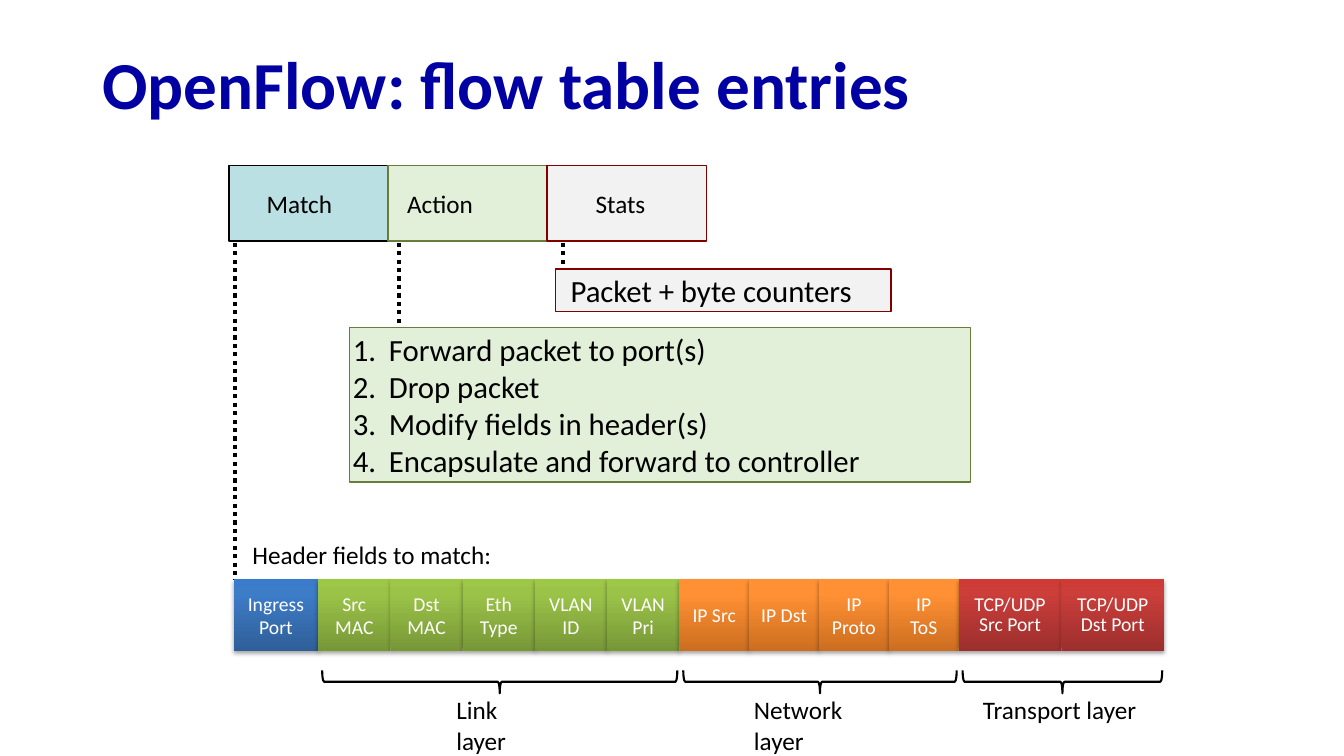
import copy

import lxml.etree
import pptx
import pptx.dml.color
import pptx.enum.dml
import pptx.enum.shapes
import pptx.enum.text
import pptx.oxml.ns
import pptx.util

Cm = pptx.util.Cm
Pt = pptx.util.Pt
qn = pptx.oxml.ns.qn
Kind = pptx.enum.shapes.MSO_SHAPE
Align = pptx.enum.text.PP_ALIGN
Fit = pptx.enum.text.MSO_AUTO_SIZE
Anchor = pptx.enum.text.MSO_ANCHOR

COLORS = {
    "title": "0000A3", "black": "000000", "white": "FFFFFF",
    "match": "BBE0E3", "action": "E2F0D9", "stats": "F2F2F2",
    "olive": "697D3A", "maroon": "800000",
}
# Gradient stops at 0, 80 and 100 percent
SHADES = {
    "blue": ("2F5F99", "3D7CC7", "3A7CCB"),
    "green": ("779737", "9BC348", "9DC746"),
    "orange": ("CC6E20", "FF9034", "FF9136"),
    "red": ("9C2F2D", "CB3E3A", "CE3B37"),
}
# Shade, cell width, cell texts, layer name, label offset, label width, label align
LAYERS = [
    ("blue", 2.13, ["Ingress Port"], None, 0, 0, None),
    ("green", 1.82, ["Src MAC", "Dst MAC", "Eth Type", "VLAN\nID", "VLAN\nPri"],
     "Link layer", 3.23, 2.67, Align.LEFT),
    ("orange", 1.76, ["IP Src", "IP Dst", "IP Proto", "IP\nToS"],
     "Network layer", 1.63, 3.76, Align.LEFT),
    ("red", 2.59, ["TCP/UDP Src Port", "TCP/UDP Dst Port"],
     "Transport layer", -0.72, 6.53, Align.CENTER),
]
# Text, fill, line, label offset, label width
PARTS = [
    ("Match", "match", "black", 0.95, 1.68),
    ("Action", "action", "olive", 0.48, 1.68),
    ("Stats", "stats", "maroon", 1.22, 1.27),
]
ACTIONS = ["Forward packet to port(s)", "Drop packet",
           "Modify fields in header(s)", "Encapsulate and forward to controller"]


def rgb(code):
    return pptx.dml.color.RGBColor.from_string(code)


def style(par, size, color="black", align=Align.LEFT, bold=False):
    par.alignment = align
    font = par.font
    font.name, font.size, font.bold = "Calibri", Pt(size), bold
    font.color.rgb = rgb(COLORS[color])


def inset(frame, gap=0):
    frame.margin_left = frame.margin_right = Cm(gap)
    frame.margin_top = frame.margin_bottom = Cm(gap)


def paint(shape, fill, line):
    shape.fill.solid()
    shape.fill.fore_color.rgb = rgb(COLORS[fill])
    shape.line.color.rgb = rgb(COLORS[line])
    shape.line.width = Pt(1)


def rect(slide, left, top, width, height):
    shape = slide.shapes.add_shape(
        Kind.RECTANGLE, Cm(left), Cm(top), Cm(width), Cm(height))
    shape.shadow.inherit = False
    return shape


def label(slide, text, left, top, width, height, size=18, align=Align.LEFT, tight=False):
    box = slide.shapes.add_textbox(Cm(left), Cm(top), Cm(width), Cm(height))
    frame = box.text_frame
    frame.text = text
    frame.word_wrap = not tight
    frame.auto_size = Fit.SHAPE_TO_FIT_TEXT
    if tight:
        inset(frame)
        frame.vertical_anchor = Anchor.MIDDLE
    style(frame.paragraphs[0], size, align=align)


def dots(slide, x, top, bottom):
    line = slide.shapes.add_connector(
        pptx.enum.shapes.MSO_CONNECTOR.STRAIGHT, Cm(x), Cm(top), Cm(x), Cm(bottom))
    line.line.color.rgb = rgb(COLORS["black"])
    line.line.width = Pt(3)
    line.line.dash_style = pptx.enum.dml.MSO_LINE.ROUND_DOT
    lxml.etree.SubElement(line._element.spPr, qn("a:effectLst"))


def place(shape, left, top, width, height):
    shape.left, shape.top = Cm(left), Cm(top)
    shape.width, shape.height = Cm(width), Cm(height)
    frame = shape.text_frame
    frame.auto_size = Fit.NONE
    frame.vertical_anchor = Anchor.MIDDLE
    return frame


def head(slide, *box):
    frame = place(slide.shapes.title, *box)
    frame.text = "OpenFlow: flow table entries"
    par = frame.paragraphs[0]
    par.line_spacing = 0.9
    style(par, 48, "title", bold=True)


def entry(slide, left, top, width, height):
    step = width / len(PARTS)
    for i, (text, fill, line, shift, span) in enumerate(PARTS):
        x = left + i * step
        paint(rect(slide, x, top, step, height), fill, line)
        label(slide, text, x + shift, top + height / 2 - 0.38, span, 0.76, tight=True)


def counts(slide, left, top, width, height):
    paint(rect(slide, left, top, width, height), "stats", "maroon")
    label(slide, "Packet + byte counters", left + 0.38, top + 0.06,
          7.16, 0.94, size=22, tight=True)
    dots(slide, left + 0.19, top - 0.66, top - 0.03)


def steps(slide, left, top, width, height):
    shape = slide.placeholders[1]
    frame = place(shape, left, top, width, height)
    paint(shape, "action", "olive")
    inset(frame)
    frame.text = "\n".join(ACTIONS)
    for par in frame.paragraphs:
        par.space_before = Pt(0)
        props = par._p.get_or_add_pPr()
        props.set("marL", str(Cm(0.99)))
        props.set("indent", str(Cm(-0.91)))
        lxml.etree.SubElement(props, qn("a:buAutoNum"), type="arabicPeriod")
        style(par, 22)
    dots(slide, left + 1.24, top - 2.14, top - 0.03)


def shade(shape, codes):
    fill = shape.fill
    fill.gradient()
    fill.gradient_angle = 90
    last = fill._fill._gradFill.gsLst
    last.append(copy.deepcopy(last[-1]))
    for stop, spot, code in zip(fill.gradient_stops, (0, 0.8, 1), codes):
        stop.position = spot
        stop.color.rgb = rgb(code)
    shape.line.fill.background()
    # Soft shadow straight below
    glow = lxml.etree.SubElement(
        shape._element.spPr.find(qn("a:effectLst")), qn("a:outerShdw"),
        blurRad=str(Pt(3.1)), dist=str(Pt(1.8)), dir="5400000", rotWithShape="0")
    tint = lxml.etree.SubElement(glow, qn("a:srgbClr"), val=COLORS["black"])
    lxml.etree.SubElement(tint, qn("a:alpha"), val="35000")


def cell(slide, text, codes, pitch, *box):
    shape = rect(slide, *box)
    shade(shape, codes)
    frame = shape.text_frame
    frame.word_wrap = True
    frame.vertical_anchor = Anchor.MIDDLE
    frame.text = text
    for par in frame.paragraphs:
        par.line_spacing = pitch
        style(par, 14, "white", Align.CENTER)


def brace(slide, left, mid, width):
    thick = 0.58
    shape = slide.shapes.add_shape(
        Kind.LEFT_BRACE, Cm(left + (width - thick) / 2), Cm(mid - width / 2),
        Cm(thick), Cm(width))
    shape.rotation = 270
    shape.shadow.inherit = False
    shape.fill.background()
    shape.line.color.rgb = rgb(COLORS["black"])
    shape.line.width = Pt(1.5)


def fields(slide, left, top, height):
    label(slide, "Header fields to match:", left + 0.1, top - 1.14, 6.76, 1.02,
          align=Align.CENTER)
    dots(slide, left + 0.03, top - 8.48, top)
    x = left
    for tone, width, texts, name, shift, span, align in LAYERS:
        pitch = Pt(14.8) if tone == "red" else None
        for i, text in enumerate(texts):
            cell(slide, text, SHADES[tone], pitch, x + i * width, top, width, height)
        total = width * len(texts)
        if name:
            brace(slide, x + 0.1, top + height + 0.78, total - 0.15)
            label(slide, name, x + shift, top + height + 0.98, span, 1.02, align=align)
        x += total


def main():
    deck = pptx.Presentation()
    deck.slide_width, deck.slide_height = Cm(33.87), Cm(19.05)
    slide = deck.slides.add_slide(deck.slide_layouts[1])
    head(slide, 2.33, 0.97, 29.21, 2.49)
    entry(slide, 5.77, 4.17, 12.03, 1.9)
    counts(slide, 14, 6.78, 8.46, 1.07)
    steps(slide, 8.81, 8.26, 15.65, 3.89)
    fields(slide, 5.89, 14.6, 1.8)
    deck.save("out.pptx")


if __name__ == "__main__":
    main()
